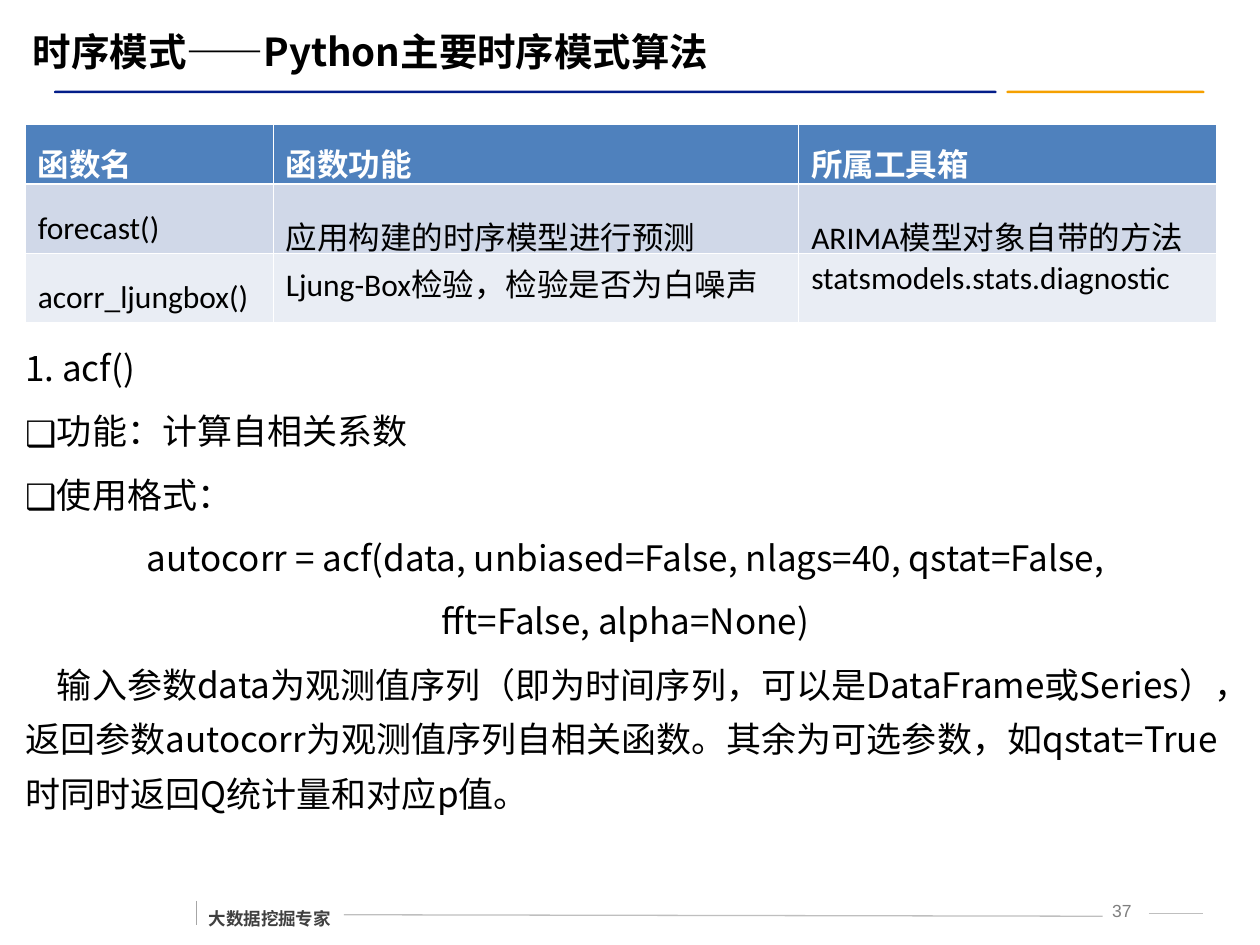
from lxml import etree
from pptx import Presentation
from pptx.dml.color import RGBColor
from pptx.enum.shapes import MSO_CONNECTOR, MSO_SHAPE
from pptx.enum.text import MSO_ANCHOR, MSO_AUTO_SIZE, PP_ALIGN
from pptx.oxml.ns import qn
from pptx.util import Cm, Pt

STRAIGHT = MSO_CONNECTOR.STRAIGHT
ROUNDED = MSO_SHAPE.ROUNDED_RECTANGLE
MIDDLE = MSO_ANCHOR.MIDDLE
NO_FIT = MSO_AUTO_SIZE.NONE
LEFT, CENTER = PP_ALIGN.LEFT, PP_ALIGN.CENTER

BLACK = RGBColor(0x00, 0x00, 0x00)
WHITE = RGBColor(0xFF, 0xFF, 0xFF)
NAVY = RGBColor(0x03, 0x1D, 0x89)
ORANGE = RGBColor(0xF5, 0xA0, 0x00)
HEADER_BLUE = RGBColor(0x4F, 0x81, 0xBD)
BAND_DARK = RGBColor(0xD0, 0xD8, 0xE8)
BAND_LIGHT = RGBColor(0xE9, 0xED, 0xF4)
FOOTER_LINE = RGBColor(0xBF, 0xBF, 0xBF)
FOOTER_TICK = RGBColor(0xA6, 0xA6, 0xA6)
PAGE_GREY = RGBColor(0x7F, 0x7F, 0x7F)
TAGLINE_GREY = RGBColor(0x40, 0x40, 0x40)

CJK = "Noto Sans CJK SC"
INDENT = Cm(0.64)
THIN, THICK = Pt(0.45), Pt(1.47)

COLUMN_WIDTHS = (5, 10.59, 8.41)
ROW_HEIGHTS = (1.2, 1.4, 1.4)
ROW_FILLS = (HEADER_BLUE, BAND_DARK, BAND_LIGHT)
FUNCTIONS = (
    ("函数名", "函数功能", "所属工具箱"),
    ("forecast()", "应用构建的时序模型进行预测", "ARIMA模型对象自带的方法"),
    ("acorr_ljungbox()", "Ljung-Box检验，检验是否为白噪声", "statsmodels.stats.diagnostic"),
)
LINE_SPACINGS = ((1.2, 1.2, 1.2), (1.5, 1.5, 1.5), (1.5, 1.0, 1.0))

EXPLANATION = (
    ("1. acf()", "plain"),
    ("功能：计算自相关系数", "bullet"),
    ("使用格式：", "bullet"),
    ("autocorr = acf(data, unbiased=False, nlags=40, qstat=False,", "code"),
    ("fft=False, alpha=None)", "code"),
    ("输入参数data为观测值序列（即为时间序列，可以是DataFrame或Series），"
     "返回参数autocorr为观测值序列自相关函数。其余为可选参数，"
     "如qstat=True时同时返回Q统计量和对应p值。", "indented"),
)


def style(paragraph, size, color, bold=False, name=CJK):
    """Set the Latin and East Asian font of a paragraph."""
    font = paragraph.font
    font.name, font.size, font.bold = name, Pt(size), bold
    font.color.rgb = color
    defaults = paragraph._p.pPr.find(qn("a:defRPr"))
    latin = defaults.find(qn("a:latin"))
    east_asian = etree.Element(qn("a:ea"), typeface=CJK)
    latin.addnext(east_asian)


def add_text_box(slide, left, top, width, height, wrap=True):
    """Add an empty text box and return its text frame."""
    box = slide.shapes.add_textbox(Cm(left), Cm(top), Cm(width), Cm(height))
    box.text_frame.word_wrap = wrap
    return box.text_frame


def add_rule(slide, left, width, color):
    """Add a thin rounded bar below the title."""
    rule = slide.shapes.add_shape(ROUNDED, Cm(left), Cm(1.83), Cm(width), Cm(0.05))
    rule.adjustments[0] = 0.5
    rule.shadow.inherit = False
    rule.fill.solid()
    rule.fill.fore_color.rgb = color
    rule.line.fill.background()


def add_line(slide, start, end, color):
    """Add a hairline of the footer."""
    line = slide.shapes.add_connector(STRAIGHT, *map(Cm, start + end))
    line.line.color.rgb = color
    line.line.width = Pt(0.75)
    etree.SubElement(line._element.spPr, qn("a:effectLst"))


def set_title(slide):
    """Place and format the title."""
    title = slide.shapes.title
    title.left, title.top, title.width, title.height = map(Cm, (0.41, 0.43, 23.11, 1.19))
    frame = title.text_frame
    frame.text = "时序模式——Python主要时序模式算法"
    frame.auto_size = NO_FIT
    frame.vertical_anchor = MIDDLE
    frame.paragraphs[0].alignment = LEFT
    style(frame.paragraphs[0], 22, BLACK, bold=True)


def set_borders(cell, top, bottom):
    """Draw white borders around a table cell."""
    properties = cell._tc.get_or_add_tcPr()
    for side, width in (("L", THIN), ("R", THIN), ("T", top), ("B", bottom)):
        border = etree.SubElement(properties, qn(f"a:ln{side}"), w=str(width))
        fill = etree.SubElement(border, qn("a:solidFill"))
        etree.SubElement(fill, qn("a:srgbClr"), val=str(WHITE))


def add_function_table(slide):
    """Add the table of time series functions."""
    table = slide.shapes.add_table(
        len(FUNCTIONS), len(COLUMN_WIDTHS), Cm(0.51), Cm(2.51),
        Cm(sum(COLUMN_WIDTHS)), Cm(sum(ROW_HEIGHTS))).table
    for column, width in zip(table.columns, COLUMN_WIDTHS):
        column.width = Cm(width)
    for r, texts in enumerate(FUNCTIONS):
        table.rows[r].height = Cm(ROW_HEIGHTS[r])
        header = r == 0
        for c, text in enumerate(texts):
            cell = table.cell(r, c)
            set_borders(cell, THICK if r == 1 else THIN, THICK if header else THIN)
            cell.fill.solid()
            cell.fill.fore_color.rgb = ROW_FILLS[r]
            cell.text = text
            paragraph = cell.text_frame.paragraphs[0]
            paragraph.line_spacing = LINE_SPACINGS[r][c]
            style(paragraph, 18, WHITE if header else BLACK, header, "Calibri")


def add_explanation(slide):
    """Add the description of the acf function."""
    frame = add_text_box(slide, 0.51, 6.73, 24.21, 9.68)
    frame.margin_left = frame.margin_right = frame.margin_top = frame.margin_bottom = 0
    for i, (text, kind) in enumerate(EXPLANATION):
        paragraph = frame.add_paragraph() if i else frame.paragraphs[0]
        paragraph.text = text
        paragraph.line_spacing = 1.3
        paragraph.space_before = Pt(5 if i else 0)
        paragraph.alignment = CENTER if kind == "code" else LEFT
        properties = paragraph._p.get_or_add_pPr()
        if kind == "bullet":
            properties.set("marL", str(INDENT))
            properties.set("indent", str(-INDENT))
            etree.SubElement(properties, qn("a:buFont"), typeface=CJK)
            etree.SubElement(properties, qn("a:buChar"), char="❑")
        elif kind == "indented":
            properties.set("indent", str(INDENT))
        style(paragraph, 20, BLACK)


def add_footer(slide):
    """Add the footer lines, tagline and page number."""
    add_line(slide, (6.93, 18.44), (22.23, 18.47), FOOTER_LINE)
    add_line(slide, (23.16, 18.42), (24.26, 18.42), FOOTER_LINE)
    add_line(slide, (3.96, 18.16), (3.96, 18.64), FOOTER_TICK)
    tagline = add_text_box(slide, 3.96, 17.96, 2.97, 0.89, wrap=False)
    tagline.text = "大数据挖掘专家"
    tagline.paragraphs[0].line_spacing = 1.5
    style(tagline.paragraphs[0], 10, TAGLINE_GREY, bold=True)
    page = add_text_box(slide, 22.02, 18.01, 1.19, 0.64)
    page.text = "37"
    page.paragraphs[0].alignment = CENTER
    style(page.paragraphs[0], 10, PAGE_GREY, name="Arial")


def main():
    """Build and save the slide."""
    deck = Presentation()
    deck.slide_width, deck.slide_height = Cm(25.4), Cm(19.05)
    slide = deck.slides.add_slide(deck.slide_layouts[5])
    add_rule(slide, 20.29, 3.99, ORANGE)
    add_rule(slide, 1.09, 19, NAVY)
    add_footer(slide)
    set_title(slide)
    add_function_table(slide)
    add_explanation(slide)
    deck.save("out.pptx")


if __name__ == "__main__":
    main()
